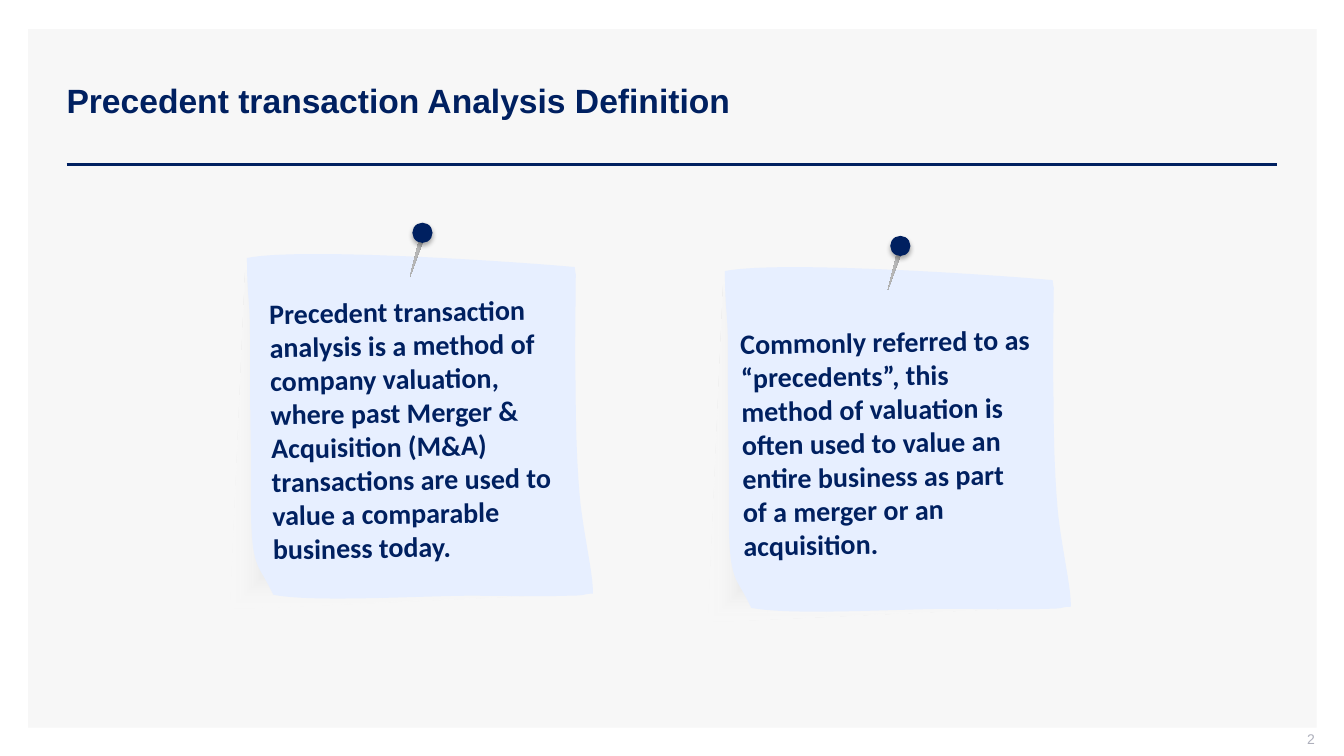
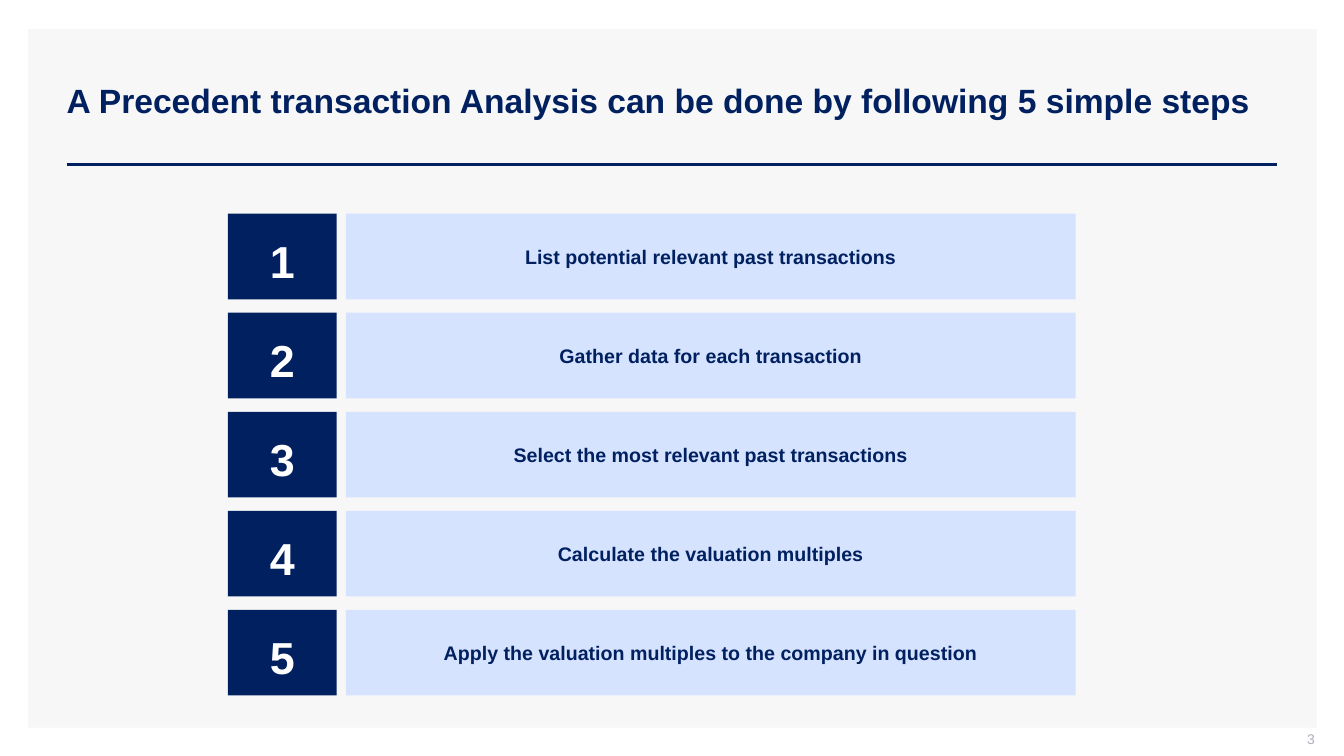
from dataclasses import dataclass
from lxml.etree import SubElement as Sub
from pptx import Presentation
from pptx.dml.color import RGBColor as Rgb
from pptx.enum.shapes import MSO_CONNECTOR as Link, MSO_SHAPE as Kind
from pptx.enum.text import MSO_ANCHOR as Anchor, MSO_AUTO_SIZE as Fit, PP_ALIGN as Align
from pptx.oxml import parse_xml
from pptx.oxml.ns import nsdecls, qn
from pptx.util import Pt

PX = 9144


@dataclass(frozen=True)
class Theme:
    navy: str = "002060"
    panel: str = "F7F7F7"
    paper: str = "E7EFFF"
    bar: str = "D6E3FF"
    white: str = "FFFFFF"
    gray: str = "ADAFBB"
    sans: str = "Arial"
    hand: str = "Calibri"
    head: int = 24
    digit: int = 32
    note: int = 20
    step: int = 14
    foot: int = 10


T = Theme()

SHADE = [(15, 42), (0, 383), (352, 367), (322, 47)]
SHEET = [
    (16, 35),
    (70, 24), (287, 39), (341, 44),
    (343, 60), (342, 43), (342, 62),
    (342, 82), (341, 128), (342, 163),
    (342, 198), (343, 237), (346, 271),
    (349, 305), (360, 351), (359, 368),
    (348, 368), (355, 370), (335, 370),
    (316, 371), (241, 370), (241, 370),
    (192, 370), (79, 377), (42, 369),
    (30, 343), (26, 346), (22, 322),
    (19, 299), (20, 265), (20, 229),
    (19, 194), (19, 142), (19, 110),
    (19, 78), (16, 73), (16, 35),
]
NOTES = [
    ((229, 221), (30, 66, 300, 279),
     "Precedent transaction analysis is a method of company valuation, where past "
     "Merger & Acquisition (M&A) transactions are used to value a comparable business today."),
    ((703, 234), (23, 83, 308, 246),
     "Commonly referred to as “precedents”, this method of valuation is often used to "
     "value an entire business as part of a merger or an acquisition."),
]
STEPS = [
    "List potential relevant past transactions",
    "Gather data for each transaction",
    "Select the most relevant past transactions",
    "Calculate the valuation multiples",
    "Apply the valuation multiples to the company in question",
]


def emu(*box):
    return [round(n * PX) for n in box]


def write(shape, text, size, color, font=T.sans, bold=True, align=Align.LEFT,
          anchor=Anchor.MIDDLE, pad=(10, 5, 10, 5)):
    frame = shape.text_frame
    frame.word_wrap = True
    frame.auto_size = Fit.NONE
    frame.vertical_anchor = anchor
    (frame.margin_left, frame.margin_top,
     frame.margin_right, frame.margin_bottom) = emu(*pad)
    frame.text = text
    para = frame.paragraphs[0]
    para.alignment = align
    face = para.font
    face.name, face.size, face.bold = font, Pt(size), bold
    face.color.rgb = Rgb.from_string(color)


def paint(shape, color):
    shape.shadow.inherit = False
    shape.fill.solid()
    shape.fill.fore_color.rgb = Rgb.from_string(color)
    shape.line.fill.background()
    return shape


def block(shapes, box, color, kind=Kind.RECTANGLE):
    return paint(shapes.add_shape(kind, *emu(*box)), color)


def blend(shape, stops, tail):
    marks = "".join(
        f'<a:gs pos="{pos * 1000}"><a:srgbClr val="{color}">'
        f'<a:alpha val="{alpha * 1000}"/></a:srgbClr></a:gs>'
        for pos, color, alpha in stops)
    fill = parse_xml(f'<a:gradFill {nsdecls("a")} rotWithShape="1">'
                     f'<a:gsLst>{marks}</a:gsLst>{tail}</a:gradFill>')
    props = shape.element.spPr
    props.replace(props.find(qn("a:solidFill")), fill)


def outline(shapes, spot, points, color):
    moved = [(spot[0] + x, spot[1] + y) for x, y in points]
    pen = shapes.build_freeform(*moved[0], scale=PX)
    pen.add_line_segments(moved[1:], close=True)
    return paint(pen.convert_to_shape(), color)


def curve(shape):
    track = shape.element.spPr.find(".//" + qn("a:path"))
    lines = track.findall(qn("a:lnTo"))
    for i in range(0, len(lines), 3):
        bend = parse_xml(f'<a:cubicBezTo {nsdecls("a")}/>')
        lines[i].addprevious(bend)
        for line in lines[i:i + 3]:
            bend.append(line[0])
            track.remove(line)


def pin(shapes, left, top):
    stem = block(shapes, (left + 1, top + 18, 4, 36), T.gray, Kind.ISOSCELES_TRIANGLE)
    blend(stem, [(0, "808080", 100), (50, "B7B7B7", 100), (100, "D9D9D9", 100)],
          '<a:lin ang="0" scaled="0"/>')
    stem.rotation = 197
    knob = block(shapes, (left, top, 20, 20), T.navy, Kind.OVAL)
    glow = Sub(knob.element.spPr.find(qn("a:effectLst")), qn("a:outerShdw"),
               blurRad=str(Pt(3.5)), dist=str(Pt(2.2)), dir="5400000", rotWithShape="0")
    tint = Sub(glow, qn("a:srgbClr"), val="000000")
    Sub(tint, qn("a:alpha"), val="32000")


def note(slide, spot, area, text):
    left, top = spot
    shapes = slide.shapes.add_group_shape().shapes
    shade = outline(shapes, spot, SHADE, T.gray)
    blend(shade, [(51, "A6A6A6", 100), (100, T.white, 0)],
          '<a:path path="shape"><a:fillToRect l="50000" t="50000" r="50000" b="50000"/></a:path>')
    curve(outline(shapes, spot, SHEET, T.paper))
    x, y, wide, high = area
    body = shapes.add_textbox(*emu(left + x, top + y, wide, high))
    write(body, text, T.note, T.navy, T.hand, anchor=Anchor.TOP)
    body.rotation = 359.1
    pin(shapes, left + 180, top)


def ladder(slide, box, steps):
    left, top, wide, high = box
    tall, side, gap = 85, 108, 9
    pitch = (high - tall) / (len(steps) - 1)
    for i, text in enumerate(steps):
        y = top + i * pitch
        bar = block(slide.shapes, (left + side + gap, y, wide - side - gap, tall), T.bar)
        write(bar, text, T.step, T.navy, align=Align.CENTER, pad=(10, 10, 10, 10))
        tile = block(slide.shapes, (left, y, side, tall), T.navy)
        write(tile, str(i + 1), T.digit, T.white, align=Align.CENTER, pad=(10, 13, 10, 5))


def dress(slide):
    panel = block(slide.shapes, (28, 29, 1278, 693), T.panel)
    rule = slide.shapes.add_connector(Link.STRAIGHT, *emu(66, 163, 1267, 163))
    rule.line.width = Pt(2)
    rule.line.color.rgb = Rgb.from_string(T.navy)
    Sub(rule.element.spPr, qn("a:effectLst"))
    tree = slide.slide_layout.shapes.element
    for i, part in enumerate((panel, rule)):
        tree.insert(2 + i, part.element)


def page(deck, title, number):
    slide = deck.slides.add_slide(deck.slide_layouts[5])
    head = slide.shapes.title
    head.left, head.top, head.width, head.height = emu(56, 40, 1211, 119)
    write(head, title, T.head, T.navy)
    foot = slide.shapes.add_textbox(*emu(1004, 725, 300, 21))
    write(foot, str(number), T.foot, T.gray, bold=False, align=Align.RIGHT, pad=(10, 0, 0, 5))
    return slide


def main():
    deck = Presentation()
    deck.slide_width, deck.slide_height = emu(1333, 750)
    first = page(deck, "Precedent transaction Analysis Definition", 2)
    dress(first)
    for spot, area, text in reversed(NOTES):
        note(first, spot, area, text)
    second = page(deck, "A Precedent transaction Analysis can be done by following 5 simple steps", 3)
    ladder(second, (226, 212, 841, 478), STEPS)
    deck.save("out.pptx")


if __name__ == "__main__":
    main()
